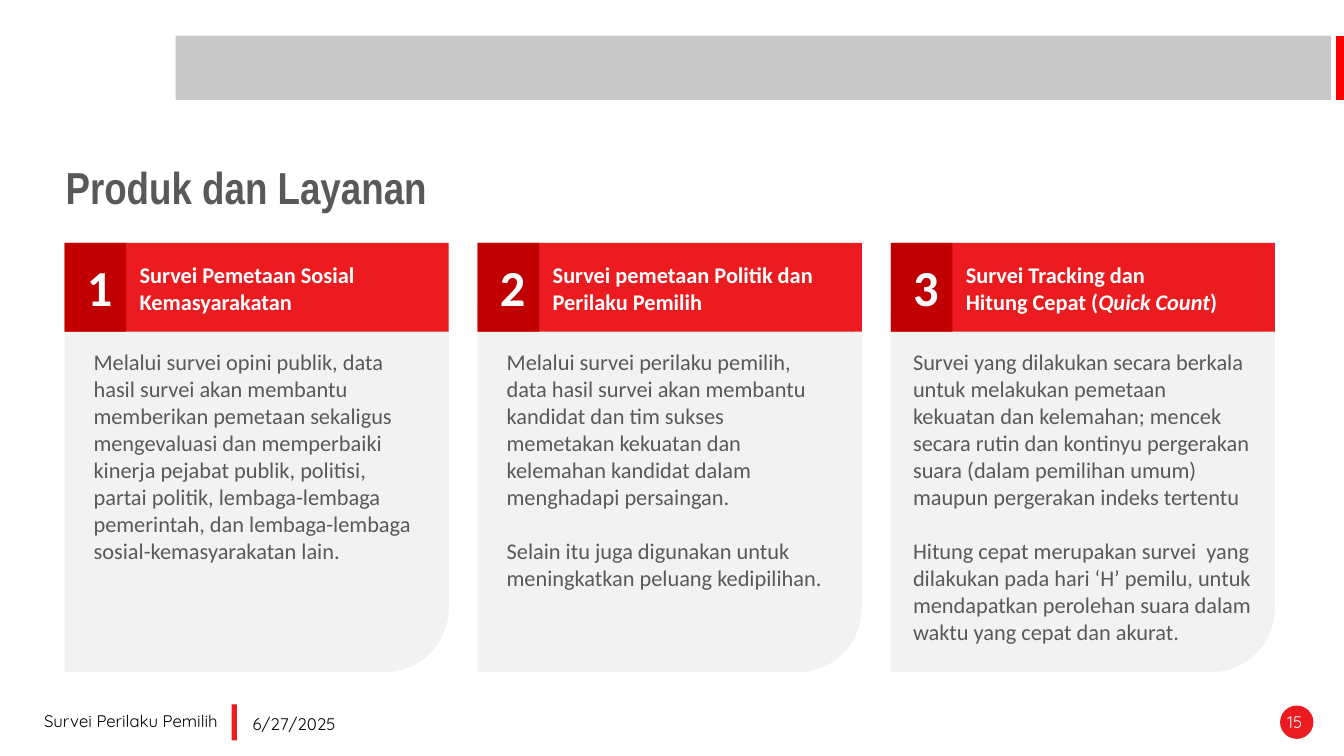
from dataclasses import dataclass

from pptx import Presentation
from pptx import util as u
from pptx.dml.color import RGBColor
from pptx.enum import shapes as sh, text as tx
from pptx.oxml import parse_xml
from pptx.oxml.ns import nsdecls

HUES = {"red": "EB1B1F", "dark": "C00000", "pure": "FF0000", "bar": "C8C8C8",
        "panel": "F2F2F2", "gray": "595959", "white": "FFFFFF", "black": "000000"}
RECT = sh.MSO_SHAPE.RECTANGLE
LEFT, PITCH, WIDE = 1.63, 10.41, 9.68


@dataclass
class Style:
    font: str
    size: float
    hue: str
    bold: bool = False
    align: tx.PP_ALIGN = tx.PP_ALIGN.LEFT
    anchor: tx.MSO_ANCHOR = tx.MSO_ANCHOR.TOP
    lead: float = 1.0
    gap: float = 0


@dataclass
class Card:
    head: list[str]
    head_w: float
    body: list[str]
    body_dx: float
    body_w: float
    body_h: float


MID = tx.MSO_ANCHOR.MIDDLE
TITLE = Style("Arial Narrow", 32, "gray", True, anchor=MID, lead=0.9)
BODY = Style("Calibri", 16, "gray", gap=19.5)
HEAD = Style("Calibri", 16, "white", True)
NUM = Style("Calibri", 36, "white", True, tx.PP_ALIGN.CENTER, MID, 0.9)
FOOT = Style("Quicksand", 12, "black")
PAGE = Style("Quicksand", 12, "white", align=tx.PP_ALIGN.RIGHT)

CARDS = [
    Card(["Survei Pemetaan Sosial Kemasyarakatan"], 6.27,
         ["Melalui survei opini publik, data hasil survei akan membantu memberikan "
          "pemetaan sekaligus mengevaluasi dan memperbaiki kinerja pejabat publik, "
          "politisi, partai politik, lembaga-lembaga pemerintah, dan "
          "lembaga-lembaga sosial-kemasyarakatan lain."], 0.48, 8.64, 5.74),
    Card(["Survei pemetaan Politik dan Perilaku Pemilih"], 7.32,
         ["Melalui survei perilaku pemilih, data hasil survei akan membantu kandidat "
          "dan tim sukses memetakan kekuatan dan kelemahan kandidat dalam "
          "menghadapi persaingan.",
          "Selain itu juga digunakan untuk meningkatkan peluang kedipilihan."],
         0.48, 8.79, 6.4),
    Card(["Survei Tracking dan", "Hitung Cepat (|Quick Count|)"], 7.32,
         ["Survei yang dilakukan secara berkala untuk melakukan pemetaan kekuatan dan "
          "kelemahan; mencek secara rutin dan kontinyu pergerakan suara (dalam "
          "pemilihan umum) maupun pergerakan indeks tertentu",
          "Hitung cepat merupakan survei  yang dilakukan pada hari ‘H’ pemilu, untuk "
          "mendapatkan perolehan suara dalam waktu yang cepat dan akurat."],
         0.31, 9.07, 7.77),
]


def color(name: str) -> RGBColor:
    return RGBColor.from_string(HUES[name])


def block(slide, kind: sh.MSO_SHAPE, hue: str,
          x: float, y: float, w: float, h: float) -> None:
    item = slide.shapes.add_shape(kind, u.Cm(x), u.Cm(y), u.Cm(w), u.Cm(h))
    item.shadow.inherit = False
    item.fill.solid()
    item.fill.fore_color.rgb = color(hue)
    item.line.fill.background()


def write(item, lines: list[str], style: Style) -> None:
    """Fill a text frame; parts between bars are set in italics."""
    frame = item.text_frame
    frame.word_wrap = True
    frame.auto_size = tx.MSO_AUTO_SIZE.NONE
    frame.vertical_anchor = style.anchor
    for i, line in enumerate(lines):
        para = frame.add_paragraph() if i else frame.paragraphs[0]
        para.alignment = style.align
        para.line_spacing = style.lead
        para.space_before = u.Pt(style.gap if i else 0)
        for j, part in enumerate(line.split("|")):
            run = para.add_run()
            run.text = part
            font = run.font
            font.name, font.size = style.font, u.Pt(style.size)
            font.bold, font.italic = style.bold, j % 2 == 1
            font.color.rgb = color(style.hue)


def label(slide, lines: list[str], style: Style,
          x: float, y: float, w: float, h: float) -> None:
    box = slide.shapes.add_textbox(u.Cm(x), u.Cm(y), u.Cm(w), u.Cm(h))
    write(box, lines, style)


def draw_card(slide, card: Card, num: int) -> None:
    x = LEFT + PITCH * (num - 1)
    block(slide, sh.MSO_SHAPE.ROUND_2_DIAG_RECTANGLE, "panel", x, 6.2, WIDE, 10.74)
    block(slide, RECT, "red", x, 6.12, WIDE, 2.24)
    block(slide, RECT, "dark", x, 6.12, 1.55, 2.24)
    label(slide, [str(num)], NUM, x + 0.31, 6.53, 0.97, 1.57)
    label(slide, card.head, HEAD, x + 1.64, 6.45, card.head_w, 1.63)
    label(slide, card.body, BODY, x + card.body_dx, 8.66, card.body_w, card.body_h)


def main() -> None:
    deck = Presentation()
    deck.slide_width, deck.slide_height = u.Cm(33.87), u.Cm(19.05)
    slide = deck.slides.add_slide(deck.slide_layouts[5])

    # Top band and edge mark
    block(slide, RECT, "bar", 4.43, 0.9, 29.11, 1.62)
    edge = slide.shapes.add_connector(sh.MSO_CONNECTOR.STRAIGHT, u.Cm(33.78),
                                      u.Cm(0.9), u.Cm(33.78), u.Cm(2.52))
    edge.line.color.rgb = color("pure")
    edge.line.width = u.Pt(6)
    edge._element.spPr.append(parse_xml(f"<a:effectLst {nsdecls('a')}/>"))

    # Title
    title = slide.shapes.title
    title.left, title.top = u.Cm(1.4), u.Cm(3.61)
    title.width, title.height = u.Cm(13.18), u.Cm(2.34)
    write(title, ["Produk dan Layanan"], TITLE)

    # Service cards
    for num, card in enumerate(CARDS, 1):
        draw_card(slide, card, num)

    # Footer
    block(slide, sh.MSO_SHAPE.OVAL, "red", 32.26, 17.78, 0.84, 0.84)
    block(slide, RECT, "red", 5.84, 17.75, 0.13, 0.91)
    label(slide, ["Survei Perilaku Pemilih"], FOOT, 0.86, 17.78, 5.33, 1.02)
    label(slide, ["6/27/2025"], FOOT, 6.12, 17.86, 4.29, 1.02)
    label(slide, ["15"], PAGE, 28.55, 17.81, 4.52, 1.02)

    deck.save("out.pptx")


if __name__ == "__main__":
    main()
